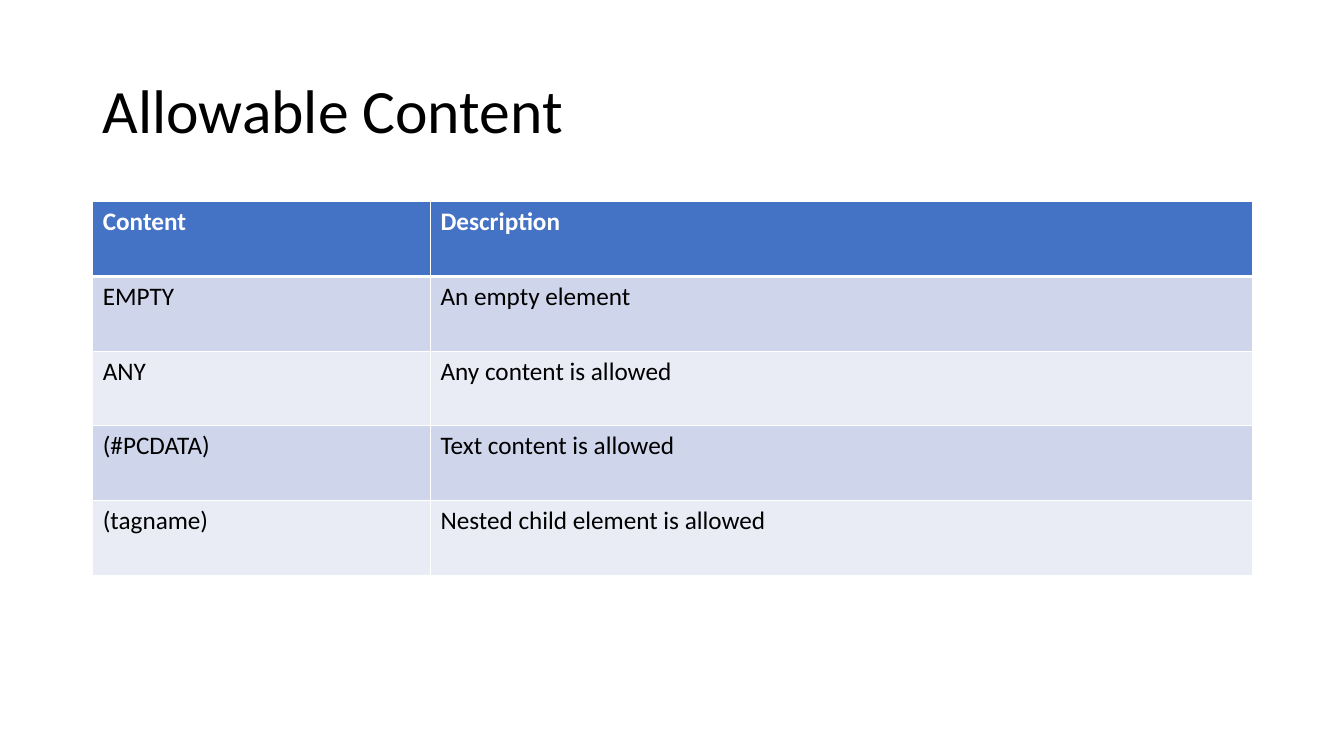
from lxml import etree
from pptx import Presentation
from pptx.dml.color import RGBColor
from pptx.enum.text import MSO_ANCHOR
from pptx.oxml.ns import qn
from pptx.util import Inches, Pt


def style_text(run, size, color, bold=False):
    run.font.name = "Calibri"
    run.font.size = Pt(size)
    run.font.bold = bold
    run.font.color.rgb = RGBColor.from_string(color)


def add_border(cell, index, side, width):
    line = etree.Element(qn(f"a:{side}"), w=str(Pt(width)))
    fill = etree.SubElement(line, qn("a:solidFill"))
    etree.SubElement(fill, qn("a:srgbClr"), val="FFFFFF")
    cell._tc.get_or_add_tcPr().insert(index, line)


prs = Presentation()
prs.slide_width = Inches(13.33)
prs.slide_height = Inches(7.5)
slide = prs.slides.add_slide(prs.slide_layouts[6])

title = slide.shapes.add_textbox(Inches(0.92), Inches(0.4), Inches(11.5), Inches(1.45))
title.text_frame.word_wrap = True
title.text_frame.vertical_anchor = MSO_ANCHOR.MIDDLE
heading = title.text_frame.paragraphs[0]
heading.line_spacing = 0.9
heading_run = heading.add_run()
heading_run.text = "Allowable Content"
style_text(heading_run, 44, "000000")

content_rows = [
    ("Content", "Description"),
    ("EMPTY", "An empty element "),
    ("ANY", "Any content is allowed"),
    ("(#PCDATA)", "Text content is allowed"),
    ("(tagname)", "Nested child element is allowed"),
]
table = slide.shapes.add_table(
    len(content_rows), 2, Inches(0.92), Inches(2), Inches(11.5), Inches(3.71)
).table
for column, width in zip(table.columns, (3.35, 8.15)):
    column.width = Inches(width)

for r, texts in enumerate(content_rows):
    is_header = r == 0
    fill_color = "4472C4" if is_header else ("E9EBF5", "CFD5EA")[r % 2]
    for c, text in enumerate(texts):
        cell = table.cell(r, c)
        cell.fill.solid()
        cell.fill.fore_color.rgb = RGBColor.from_string(fill_color)
        run = cell.text_frame.paragraphs[0].add_run()
        run.text = text
        style_text(run, 18, "FFFFFF" if is_header else "000000", is_header)
        top = 3 if r == 1 else 1
        bottom = 3 if is_header else 1
        borders = (("lnL", 1), ("lnR", 1), ("lnT", top), ("lnB", bottom))
        for index, (side, width) in enumerate(borders):
            add_border(cell, index, side, width)

prs.save("out.pptx")
